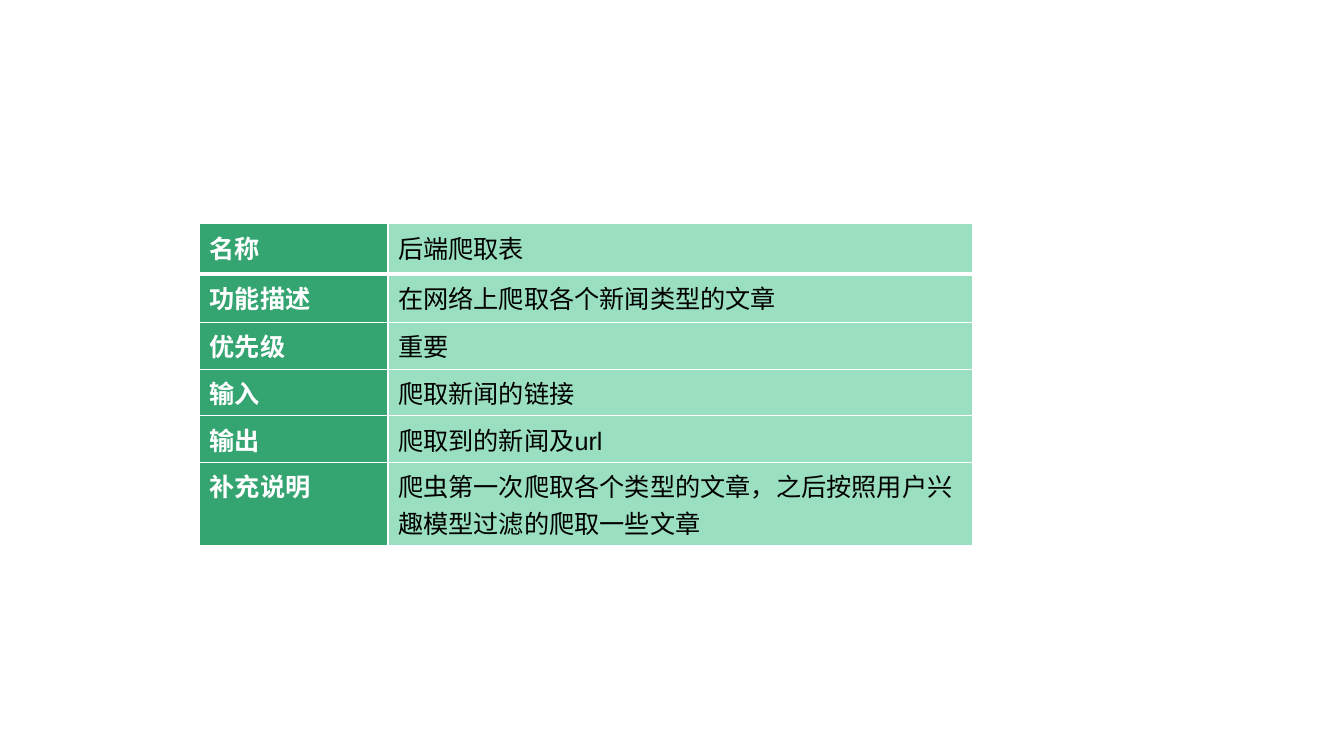
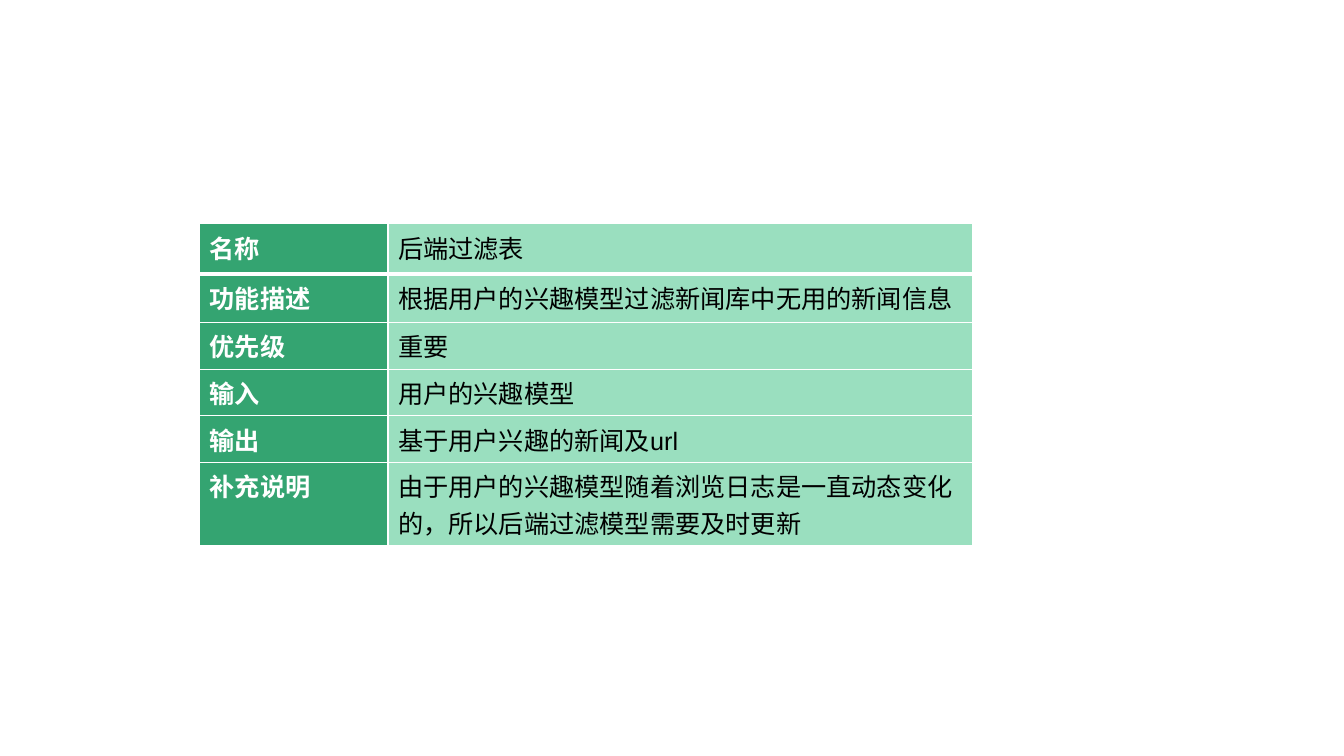
"""Build two slides, each with a feature description table."""
from lxml import etree
from pptx import Presentation
from pptx.dml.color import RGBColor
from pptx.enum.lang import MSO_LANGUAGE_ID
from pptx.oxml.ns import qn
from pptx.util import Cm, Pt

CHINESE = MSO_LANGUAGE_ID.SIMPLIFIED_CHINESE
FONT = "Arial"
COLORS = {"label": "34A471", "value": "9ADFBF", "white": "FFFFFF", "black": "000000"}
LABELS = ["名称", "功能描述", "优先级", "输入", "输出", "补充说明"]
FEATURES = [
    [
        "后端爬取表",
        "在网络上爬取各个新闻类型的文章",
        "重要",
        "爬取新闻的链接",
        "爬取到的新闻及url",
        "爬虫第一次爬取各个类型的文章，之后按照用户兴趣模型过滤的爬取一些文章",
    ],
    [
        "后端过滤表",
        "根据用户的兴趣模型过滤新闻库中无用的新闻信息",
        "重要",
        "用户的兴趣模型",
        "基于用户兴趣的新闻及url",
        "由于用户的兴趣模型随着浏览日志是一直动态变化的，所以后端过滤模型需要及时更新",
    ],
]
COLUMN_WIDTHS = [Cm(4.75), Cm(14.73)]
ROW_HEIGHTS = [Cm(1.27), Cm(1.22)] + [Cm(1.07)] * 4
THIN, THICK = Pt(1), Pt(3)


def set_borders(cell, top, bottom):
    properties = cell._tc.get_or_add_tcPr()
    for side, width in (("L", THIN), ("R", THIN), ("T", top), ("B", bottom)):
        line = etree.SubElement(properties, qn(f"a:ln{side}"), w=str(width))
        fill = etree.SubElement(line, qn("a:solidFill"))
        etree.SubElement(fill, qn("a:srgbClr"), val=COLORS["white"])


def fill_cell(cell, text, background, color, bold):
    cell.fill.solid()
    cell.fill.fore_color.rgb = RGBColor.from_string(COLORS[background])
    cell.text_frame.text = text
    font = cell.text_frame.paragraphs[0].runs[0].font
    font.name = FONT
    font.size = Pt(18)
    font.bold = bold
    font.color.rgb = RGBColor.from_string(COLORS[color])
    font.language_id = CHINESE


def add_feature_table(page, values):
    frame = page.shapes.add_table(
        len(LABELS), len(COLUMN_WIDTHS), Cm(5.03), Cm(5.64),
        sum(COLUMN_WIDTHS), sum(ROW_HEIGHTS),
    )
    table = frame.table
    for column, width in zip(table.columns, COLUMN_WIDTHS):
        column.width = width
    for index, (label, value) in enumerate(zip(LABELS, values)):
        table.rows[index].height = ROW_HEIGHTS[index]
        label_cell, value_cell = table.rows[index].cells
        for cell in (label_cell, value_cell):
            set_borders(
                cell,
                top=THICK if index == 1 else THIN,
                bottom=THICK if index == 0 else THIN,
            )
        fill_cell(label_cell, label, "label", "white", True)
        fill_cell(value_cell, value, "value", "black", False)


def main():
    deck = Presentation()
    deck.slide_width, deck.slide_height = Cm(33.87), Cm(19.05)
    for values in FEATURES:
        page = deck.slides.add_slide(deck.slide_layouts[6])
        add_feature_table(page, values)
    deck.save("out.pptx")


if __name__ == "__main__":
    main()
